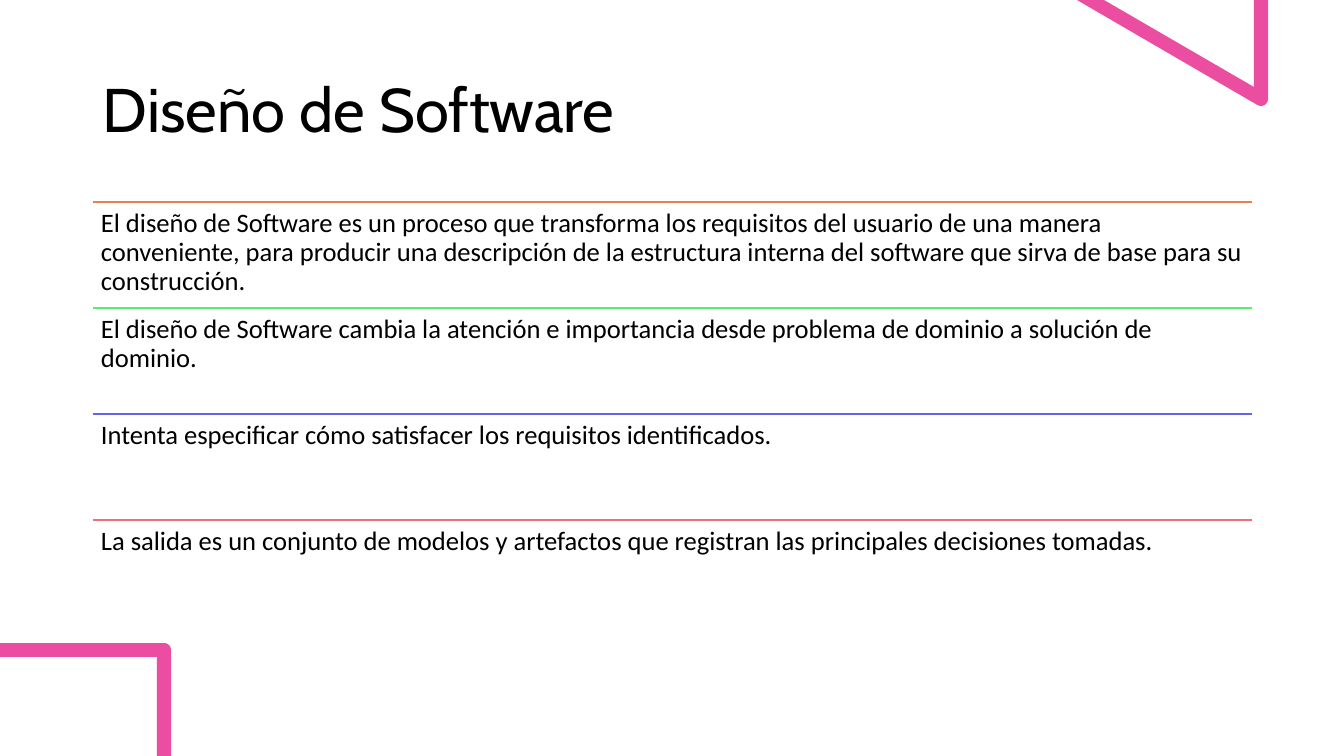
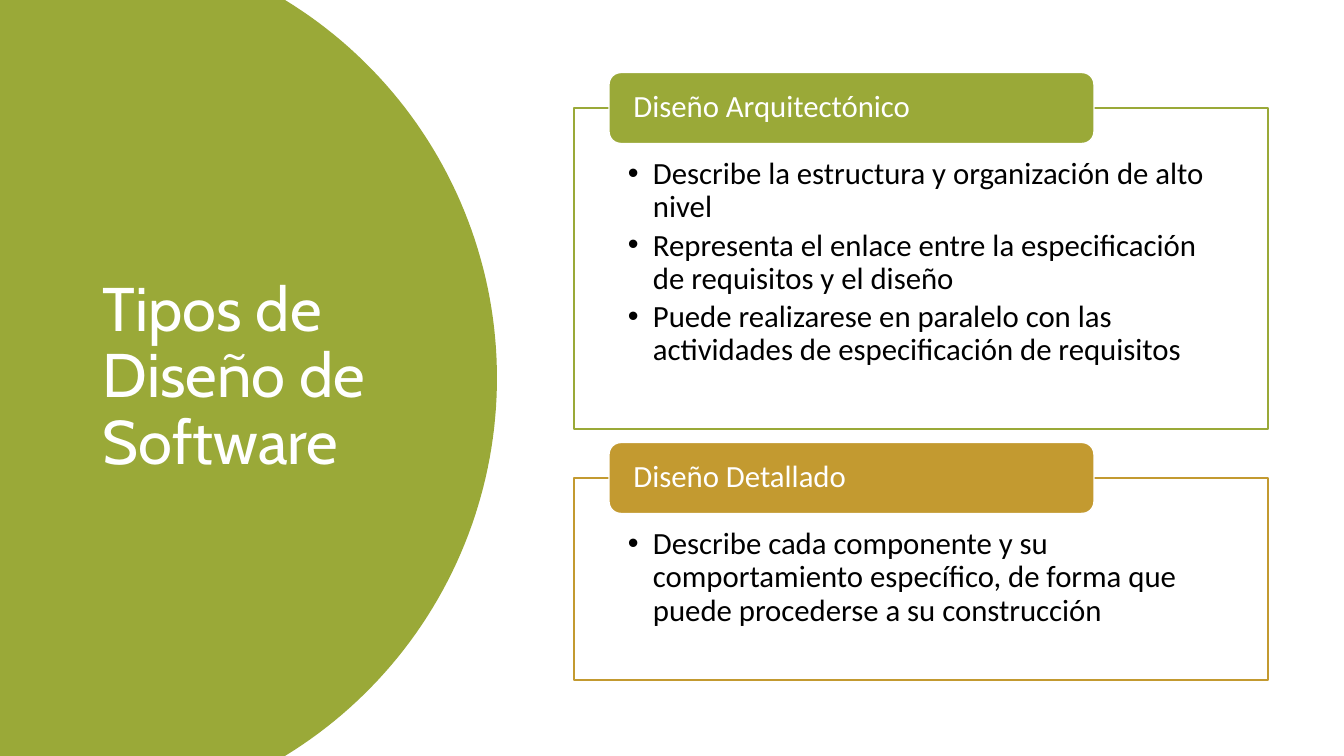
"""Build two slides about software design and its kinds."""
from math import asin, cos, degrees, radians, sin

from lxml import etree
from pptx import Presentation
from pptx.dml.color import RGBColor
from pptx.enum.shapes import MSO_CONNECTOR, MSO_SHAPE
from pptx.enum.text import MSO_ANCHOR, PP_ALIGN
from pptx.oxml.ns import qn
from pptx.util import Pt

RECTANGLE, ROUNDED = MSO_SHAPE.RECTANGLE, MSO_SHAPE.ROUNDED_RECTANGLE
STRAIGHT = MSO_CONNECTOR.STRAIGHT
TOP, MIDDLE, LEFT = MSO_ANCHOR.TOP, MSO_ANCHOR.MIDDLE, PP_ALIGN.LEFT

EMU_PER_PX = 914400 / 100.8
WIDTH, HEIGHT = 1344, 756
MARGIN = 93
TITLE_FONT, BODY_FONT = "Cabin", "Calibri"
BLACK, WHITE, PINK, GREEN, OCHRE = "000000", "FFFFFF", "EB4EA1", "9AA938", "C39A30"

STATEMENTS_TITLE = "Diseño de Software"
STATEMENTS = [
    ("EB7D4E", "El diseño de Software es un proceso que transforma los requisitos del usuario "
     "de una manera conveniente, para producir una descripción de la estructura interna "
     "del software que sirva de base para su construcción."),
    ("59EC70", "El diseño de Software cambia la atención e importancia desde problema de "
     "dominio a solución de dominio."),
    ("6663ED", "Intenta especificar cómo satisfacer los requisitos identificados."),
    ("EE6E7D", "La salida es un conjunto de modelos y artefactos que registran las "
     "principales decisiones tomadas."),
]
RULE_TOP, RULE_STEP, RULE_WIDTH = 202, 106, 1159

KINDS_TITLE = "Tipos de Diseño de Software"
KINDS = [
    ("Diseño Arquitectónico", GREEN, 108, 321, [
        "Describe la estructura y organización de alto nivel",
        "Representa el enlace entre la especificación de requisitos y el diseño",
        "Puede realizarese en paralelo con las actividades de especificación de requisitos",
    ]),
    ("Diseño Detallado", OCHRE, 478, 202, [
        "Describe cada componente y su comportamiento específico, de forma que puede "
        "procederse a su construcción",
    ]),
]
PANEL_LEFT, PANEL_WIDTH = 574, 694
TAG_INDENT, TAG_WIDTH, TAG_HEIGHT = 35, 485, 71
DISC_RADIUS, DISC_CENTER = 443, (54, HEIGHT / 2)


def px(value):
    return round(value * EMU_PER_PX)


def rgb(value):
    return RGBColor.from_string(value)


def arc(center, radius, start, end, steps):
    angles = [radians(start + (end - start) * step / steps) for step in range(steps + 1)]
    return [(center[0] + radius * cos(angle), center[1] + radius * sin(angle))
            for angle in angles]


def paint(shape, fill, line=None):
    shape.shadow.inherit = False
    shape.fill.solid()
    shape.fill.fore_color.rgb = rgb(fill)
    if line:
        shape.line.color.rgb = rgb(line)
        shape.line.width = Pt(1)
    else:
        shape.line.fill.background()


def add_outline(page, points, fill):
    (start_x, start_y), *rest = [(px(x), px(y)) for x, y in points]
    builder = page.shapes.build_freeform(start_x, start_y)
    builder.add_line_segments(rest)
    paint(builder.convert_to_shape(), fill)


def add_shape(page, kind, frame, fill, line):
    shape = page.shapes.add_shape(kind, *map(px, frame))
    paint(shape, fill, line)
    return shape


def add_bullet(para):
    properties = para._p.get_or_add_pPr()
    properties.set("marL", str(px(25)))
    properties.set("indent", str(px(-25)))
    etree.SubElement(properties, qn("a:buFont")).set("typeface", "Arial")
    etree.SubElement(properties, qn("a:buChar")).set("char", "•")


def write(box, texts, size, color, insets, font=BODY_FONT, anchor=TOP, bullets=False):
    frame = box.text_frame
    frame.word_wrap = True
    frame.vertical_anchor = anchor
    (frame.margin_left, frame.margin_top,
     frame.margin_right, frame.margin_bottom) = map(px, insets)
    for index, text in enumerate(texts):
        para = frame.add_paragraph() if index else frame.paragraphs[0]
        para.text = text
        para.alignment = LEFT
        para.line_spacing = 0.9
        para.space_after = Pt(3.6 if bullets else 0)
        para.font.name = font
        para.font.size = Pt(size)
        para.font.color.rgb = rgb(color)
        if bullets:
            add_bullet(para)


def add_title(page, text, frame, color):
    box = page.shapes.add_textbox(*map(px, frame))
    write(box, [text], 44, color, (10, 5, 10, 5), TITLE_FONT, MIDDLE)


def add_rule(page, top, color):
    rule = page.shapes.add_connector(
        STRAIGHT, px(MARGIN), px(top), px(MARGIN + RULE_WIDTH), px(top))
    rule.line.color.rgb = rgb(color)
    rule.line.width = Pt(1)
    etree.SubElement(rule._element.spPr, qn("a:effectLst"))


def build_statements(page):
    triangle_corner = arc((1261, 99), 7, 120, 0, 8)
    square_corner = arc((164, 650), 7, -90, 0, 8)
    add_outline(page, [(1268, 0), (1254, 0), (1254, 87), (1104, 0), (1077, 0),
                       *triangle_corner], PINK)
    add_outline(page, [(0, 643), *square_corner, (171, HEIGHT), (157, HEIGHT),
                       (157, 657), (0, 657)], PINK)
    add_title(page, STATEMENTS_TITLE, (MARGIN, 40, RULE_WIDTH, 146), BLACK)
    for index, (color, text) in enumerate(STATEMENTS):
        top = RULE_TOP + index * RULE_STEP
        add_rule(page, top, color)
        box = page.shapes.add_textbox(*map(px, (MARGIN, top, RULE_WIDTH, RULE_STEP)))
        write(box, [text], 19, BLACK, (8, 8, 8, 8))


def build_kinds(page):
    reach = degrees(asin(HEIGHT / 2 / DISC_RADIUS))
    add_outline(page, [(0, 0), *arc(DISC_CENTER, DISC_RADIUS, -reach, reach, 90),
                       (0, HEIGHT)], GREEN)
    add_title(page, KINDS_TITLE, (MARGIN, 71, 326, 614), WHITE)
    for heading, color, top, height, points in KINDS:
        panel = add_shape(page, RECTANGLE, (PANEL_LEFT, top, PANEL_WIDTH, height), WHITE, color)
        write(panel, points, 22, BLACK, (54, 50, 54, 17), bullets=True)
        tag_frame = (PANEL_LEFT + TAG_INDENT, top - TAG_HEIGHT / 2, TAG_WIDTH, TAG_HEIGHT)
        tag = add_shape(page, ROUNDED, tag_frame, color, WHITE)
        write(tag, [heading], 22, WHITE, (21, 0, 21, 0), anchor=MIDDLE)


def main():
    deck = Presentation()
    deck.slide_width, deck.slide_height = px(WIDTH), px(HEIGHT)
    for build in (build_statements, build_kinds):
        build(deck.slides.add_slide(deck.slide_layouts[6]))
    deck.save("out.pptx")


if __name__ == "__main__":
    main()
